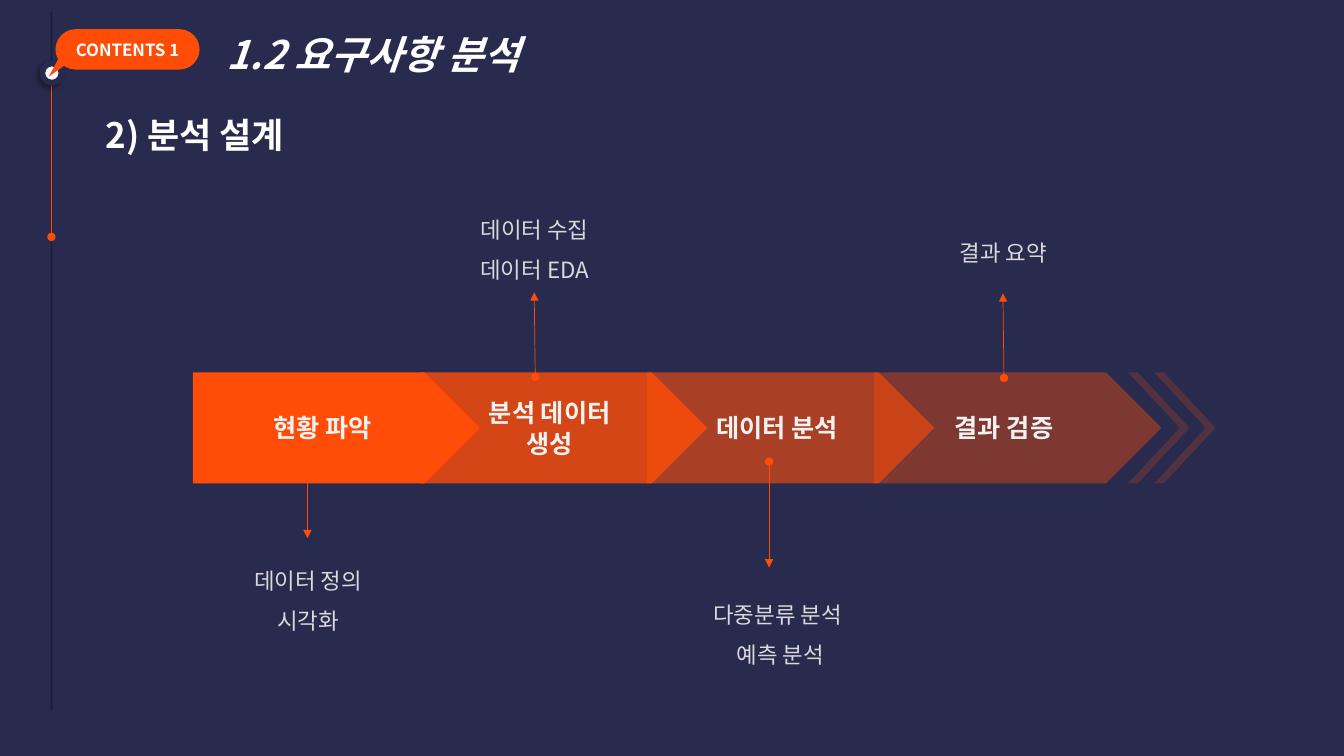
from lxml import etree
from pptx import Presentation
from pptx import util as u
from pptx.dml.color import RGBColor
from pptx.enum import shapes as s, text as t
from pptx.oxml import ns

theme = dict(
    font="Noto Sans CJK KR", navy="282B4E", orange="FF4D08", white="FFFFFF",
    black="000000", step="F2F2F2", note="D9D9D9",
    title_size=28, heading_size=25, step_size=18, note_size=16, tag_size=12,
)

deck = Presentation()
deck.slide_width, deck.slide_height = u.Inches(13.33), u.Inches(7.5)
slide = deck.slides.add_slide(deck.slide_layouts[6])
slide.background.fill.solid()
slide.background.fill.fore_color.rgb = RGBColor.from_string(theme["navy"])
COL, ROW = deck.slide_width / 160, deck.slide_height / 90


def write(holder, content, size, color, bold=False, italic=False,
          align=t.PP_ALIGN.LEFT, spacing=None, anchor=t.MSO_ANCHOR.TOP, grow=False):
    frame = holder.text_frame
    frame.word_wrap = True
    frame.vertical_anchor = anchor
    if grow:
        frame.auto_size = t.MSO_AUTO_SIZE.SHAPE_TO_FIT_TEXT
    frame.text = content
    for line in frame.paragraphs:
        line.alignment = align
        if spacing:
            line.line_spacing = spacing
        font = line.runs[0].font
        font.size, font.bold, font.italic = u.Pt(size), bold, italic
        font.name = theme["font"]
        font.color.rgb = RGBColor.from_string(color)
        etree.SubElement(font._element, ns.qn("a:ea"), typeface=theme["font"])


def paint(kind, col, row, cols, rows, color, alpha=100, adjust=None):
    block = slide.shapes.add_shape(
        kind, int(col * COL), int(row * ROW), int(cols * COL), int(rows * ROW))
    block.shadow.inherit = False
    block.fill.solid()
    block.fill.fore_color.rgb = RGBColor.from_string(color)
    block.line.fill.background()
    if adjust is not None:
        block.adjustments[0] = adjust
    if alpha < 100:
        tint = block._element.spPr.find(ns.qn("a:solidFill"))[0]
        etree.SubElement(tint, ns.qn("a:alpha"), val=str(alpha * 1000))
    return block


texts = [
    ("1.2 요구사항 분석", 25.8, 3, 91, 6.8,
     dict(size=theme["title_size"], color=theme["white"], bold=True, italic=True)),
    ("2) 분석 설계", 11.4, 10.44, 122.5, 7.8,
     dict(size=theme["heading_size"], color=theme["white"], bold=True, spacing=1.5)),
]
note_style = dict(size=theme["note_size"], color=theme["note"],
                  align=t.PP_ALIGN.CENTER, spacing=1.5)
for note, center, row, rows in [
    ("데이터 정의\n시각화", 36.66, 65.28, 10.3),
    ("데이터 수집\n데이터 EDA", 63.66, 23.52, 10.3),
    ("다중분류 분석\n 예측 분석", 92.58, 69.36, 10.3),
    ("결과 요약", 119.46, 26.28, 5.4),
]:
    texts.append((note, center - 12.42, row, 24.84, rows, note_style))

for color, width, alpha, head, tail, start, end in [
    (theme["black"], 1.25, 29, None, None, (6.12, 1.44), (6.12, 84.6)),
    (theme["orange"], 0.25, 100, "oval", "oval", (6.12, 8.64), (6.12, 28.2)),
    (theme["orange"], 0.5, 100, "oval", "triangle", (36.6, 51.48), (36.6, 64.08)),
    (theme["orange"], 0.5, 100, "oval", "triangle", (63.72, 44.88), (63.6, 34.8)),
    (theme["orange"], 0.5, 100, "oval", "triangle", (91.56, 54.96), (91.56, 67.56)),
    (theme["orange"], 0.5, 100, "oval", "triangle", (119.52, 45), (119.4, 34.92)),
]:
    arrow = slide.shapes.add_connector(
        s.MSO_CONNECTOR.STRAIGHT, int(start[0] * COL), int(start[1] * ROW),
        int(end[0] * COL), int(end[1] * ROW))
    arrow.line.width = u.Pt(width)
    arrow.line.color.rgb = RGBColor.from_string(color)
    stroke = arrow.line._get_or_add_ln()
    if alpha < 100:
        tint = stroke.find(ns.qn("a:solidFill"))[0]
        etree.SubElement(tint, ns.qn("a:alpha"), val=str(alpha * 1000))
    for tip, style in (("a:headEnd", head), ("a:tailEnd", tail)):
        if style:
            etree.SubElement(stroke, ns.qn(tip), type=style)
    etree.SubElement(arrow._element.spPr, ns.qn("a:effectLst"))

marker = paint(s.MSO_SHAPE.OVAL, 5.04, 7.56, 2.28, 2.28, theme["white"])
marker.line.color.rgb = RGBColor.from_string(theme["navy"])
marker.line.width = u.Pt(4)
glow = etree.SubElement(
    marker._element.spPr.find(ns.qn("a:effectLst")), ns.qn("a:outerShdw"),
    blurRad=str(u.Pt(4)), dist=str(u.Pt(3)), dir=str(135 * 60000),
    algn="tr", rotWithShape="0")
shade = etree.SubElement(glow, ns.qn("a:srgbClr"), val=theme["black"])
etree.SubElement(shade, ns.qn("a:alpha"), val="40000")

tag = paint(s.MSO_SHAPE.ROUNDED_RECTANGLE, 6.6, 3.48, 17.16, 4.8, theme["orange"], adjust=0.5)
write(tag, "CONTENTS 1", theme["tag_size"], theme["white"], bold=True,
      align=t.PP_ALIGN.CENTER, anchor=t.MSO_ANCHOR.MIDDLE)
pointer = paint(s.MSO_SHAPE.ISOSCELES_TRIANGLE, 6.36, 6.96, 1.32, 2.64, theme["orange"], adjust=1)
pointer.rotation = 27.9
for flip in ("flipH", "flipV"):
    pointer._element.spPr.xfrm.set(flip, "1")

STEP_ROW, STEP_ROWS = 44.34, 13.2
for col in (134.3, 137.4):
    paint(s.MSO_SHAPE.CHEVRON, col, STEP_ROW, 7.3, STEP_ROWS, theme["orange"], 20, 0.841)
steps = ["현황 파악", "분석 데이터\n생성", "데이터 분석", "결과 검증"]
for i, name in reversed(list(enumerate(steps))):
    step = paint(s.MSO_SHAPE.PENTAGON, 22.95 + 27.04 * i, STEP_ROW, 34.2, STEP_ROWS,
                 theme["orange"], 100 - 20 * i, 0.5)
    write(step, name, theme["step_size"], theme["step"], bold=True,
          align=t.PP_ALIGN.CENTER, anchor=t.MSO_ANCHOR.MIDDLE)

for content, col, row, cols, rows, style in texts:
    box = slide.shapes.add_textbox(
        int(col * COL), int(row * ROW), int(cols * COL), int(rows * ROW))
    write(box, content, grow=True, **style)

deck.save("out.pptx")
